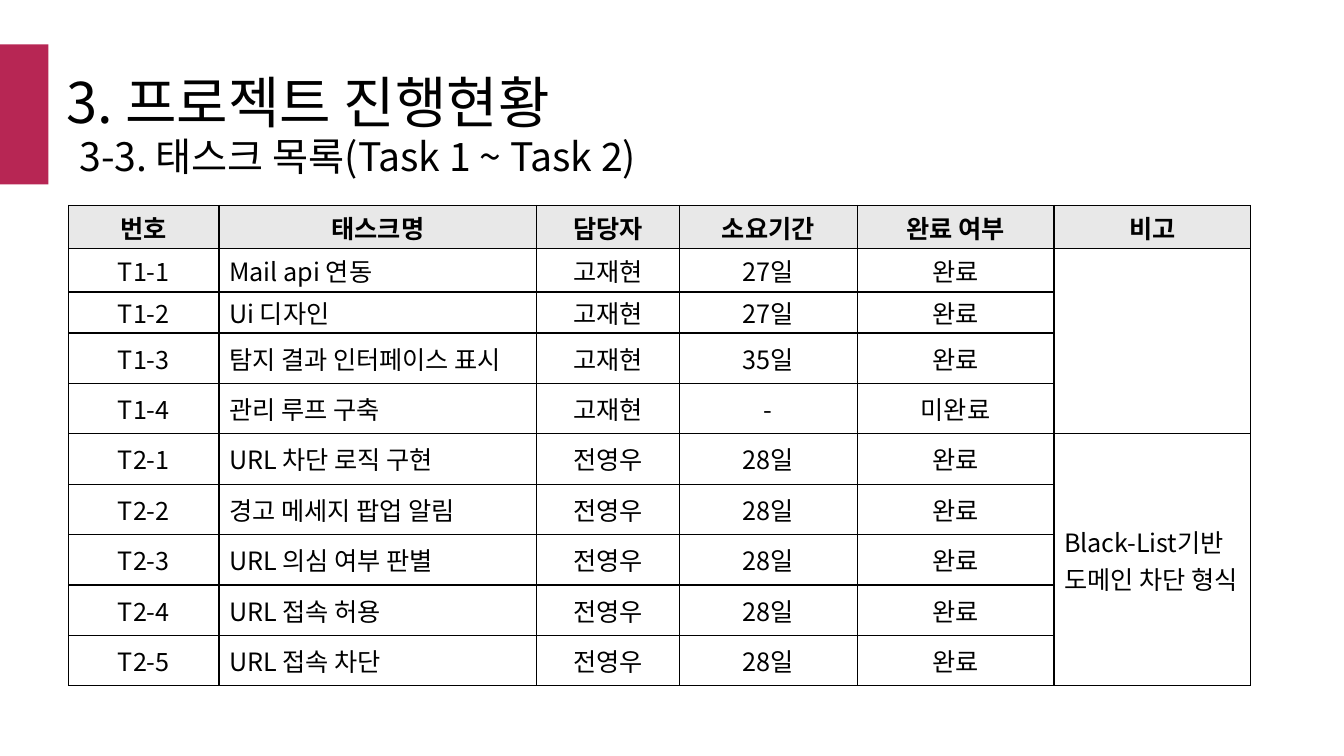
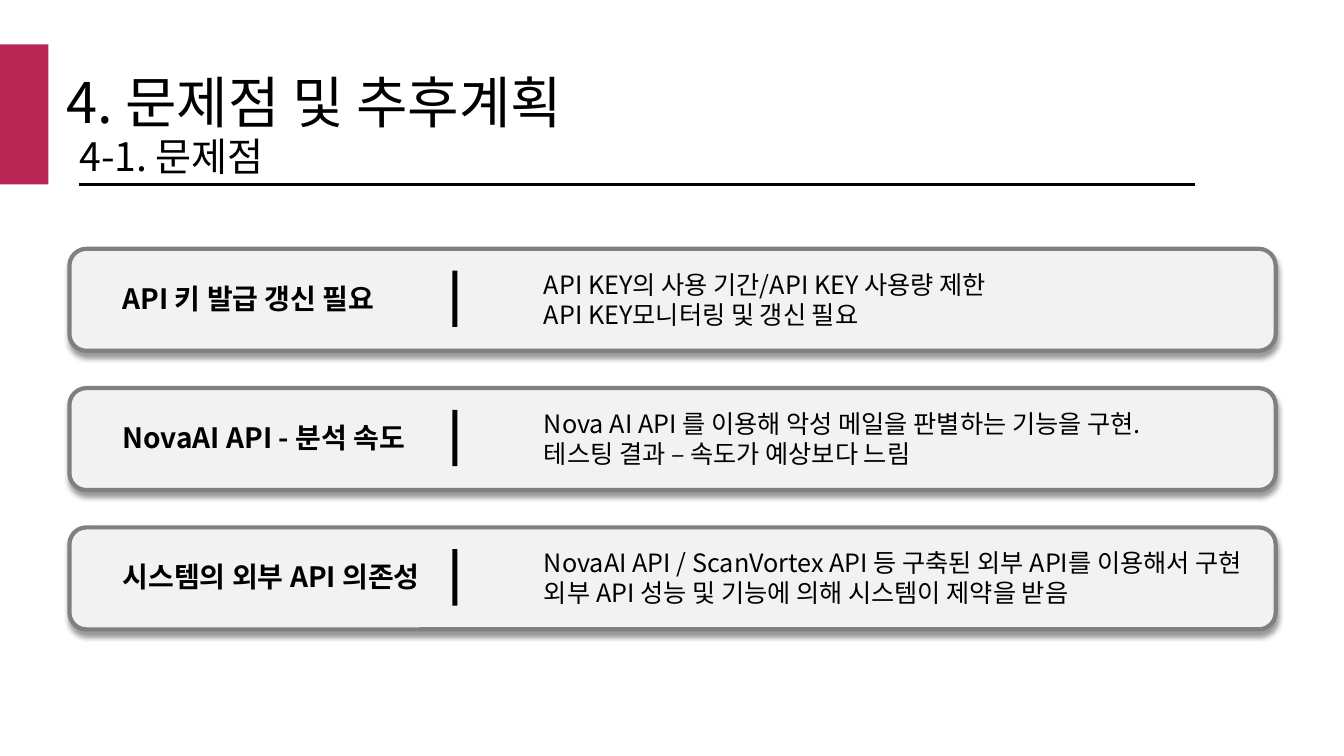
"""Build two project report slides: a task list and a list of problems."""
from lxml.etree import SubElement
from pptx import Presentation
from pptx.dml.color import RGBColor
from pptx.enum.shapes import MSO_CONNECTOR as Connector, MSO_SHAPE as Preset
from pptx.enum.text import MSO_ANCHOR as Anchor, MSO_AUTO_SIZE as AutoSize, PP_ALIGN as Align
from pptx.oxml.ns import qn
from pptx.util import Cm, Pt

FONT = "Noto Sans CJK KR"
COLORS = {
    "accent": "B72654",
    "text": "000000",
    "header": "E8E8E8",
    "body": "FFFFFF",
    "card": "F2F2F2",
    "card_line": "808080",
}

TASK_TITLES = ("3. 프로젝트 진행현황", "3-3. 태스크 목록(Task 1 ~ Task 2)")
TASK_HEADER = ("번호", "태스크명", "담당자", "소요기간", "완료 여부", "비고")
TASK_GROUPS = [
    {
        "owner": "고재현",
        "note": (),
        "tasks": [
            ("T1-1", "Mail api 연동", "27일", "완료"),
            ("T1-2", "Ui 디자인", "27일", "완료"),
            ("T1-3", "탐지 결과 인터페이스 표시", "35일", "완료"),
            ("T1-4", "관리 루프 구축", "-", "미완료"),
        ],
    },
    {
        "owner": "전영우",
        "note": ("Black-List기반", "도메인 차단 형식"),
        "tasks": [
            ("T2-1", "URL 차단 로직 구현", "28일", "완료"),
            ("T2-2", "경고 메세지 팝업 알림", "28일", "완료"),
            ("T2-3", "URL 의심 여부 판별", "28일", "완료"),
            ("T2-4", "URL 접속 허용", "28일", "완료"),
            ("T2-5", "URL 접속 차단", "28일", "완료"),
        ],
    },
]
COLUMN_WIDTHS = (3.79, 8.01, 3.59, 4.48, 4.96, 4.96)
ROW_HEIGHTS = (1.09, 1.09, 1.03) + (1.27,) * 7
NAME_COLUMN, NOTE_COLUMN = 1, 5

PROBLEM_TITLES = ("4. 문제점 및 추후계획", "4-1. 문제점")
PROBLEMS = [
    ("API 키 발급 갱신 필요",
     ("API KEY의 사용 기간/API KEY 사용량 제한", "API KEY모니터링 및 갱신 필요")),
    ("NovaAI API - 분석 속도",
     ("Nova AI API 를 이용해 악성 메일을 판별하는 기능을 구현.", "테스팅 결과 – 속도가 예상보다 느림")),
    ("시스템의 외부 API 의존성",
     ("NovaAI API / ScanVortex API 등 구축된 외부 API를 이용해서 구현",
      "외부 API 성능 및 기능에 의해 시스템이 제약을 받음")),
]
CARD_TOP, CARD_PITCH = 6.27, 3.51


def rgb(name):
    return RGBColor.from_string(COLORS[name])


def write(frame, lines, size, bold=False, align=Align.LEFT, spacing=None):
    for index, line in enumerate(lines):
        paragraph = frame.paragraphs[0] if index == 0 else frame.add_paragraph()
        paragraph.alignment = align
        paragraph.line_spacing = spacing
        run = paragraph.add_run()
        run.text = line
        run.font.size = Pt(size)
        run.font.bold = bold
        run.font.name = FONT
        run.font.color.rgb = rgb("text")
        SubElement(run.font._element, qn("a:ea"), typeface=FONT)


def add_text(slide, left, top, width, height, lines, size, bold=False):
    box = slide.shapes.add_textbox(Cm(left), Cm(top), Cm(width), Cm(height))
    box.text_frame.word_wrap = True
    box.text_frame.auto_size = AutoSize.SHAPE_TO_FIT_TEXT
    write(box.text_frame, lines, size, bold, spacing=1.0)


def add_block(slide, preset, left, top, width, height, fill):
    shape = slide.shapes.add_shape(preset, Cm(left), Cm(top), Cm(width), Cm(height))
    shape.shadow.inherit = False
    shape.fill.solid()
    shape.fill.fore_color.rgb = rgb(fill)
    shape.line.fill.background()
    return shape


def add_base_slide(presentation, titles):
    slide = presentation.slides.add_slide(presentation.slide_layouts[6])
    title, subtitle = titles
    add_block(slide, Preset.RECTANGLE, 0, 1.12, 1.22, 3.53, "accent")
    add_text(slide, 1.42, 1.57, 28.5, 1.97, [title], 40)
    add_text(slide, 1.75, 3.2, 16.2, 1.45, [subtitle], 28)
    return slide


def add_borders(cell):
    properties = cell._tc.get_or_add_tcPr()
    for index, side in enumerate(("lnL", "lnR", "lnT", "lnB")):
        line = properties.makeelement(qn(f"a:{side}"), {"w": str(Pt(1))})
        fill = SubElement(line, qn("a:solidFill"))
        SubElement(fill, qn("a:srgbClr"), val=COLORS["text"])
        properties.insert(index, line)


def add_task_table(slide):
    rows = [TASK_HEADER]
    for group in TASK_GROUPS:
        for number, name, days, state in group["tasks"]:
            rows.append((number, name, group["owner"], days, state, ""))

    table = slide.shapes.add_table(
        len(rows), len(TASK_HEADER), Cm(1.73), Cm(5.18),
        Cm(sum(COLUMN_WIDTHS)), Cm(sum(ROW_HEIGHTS))).table
    table.first_row = table.horz_banding = False
    for column, width in zip(table.columns, COLUMN_WIDTHS):
        column.width = Cm(width)
    for row, height in zip(table.rows, ROW_HEIGHTS):
        row.height = Cm(height)

    for row_index, values in enumerate(rows):
        is_header = row_index == 0
        for column_index, value in enumerate(values):
            cell = table.cell(row_index, column_index)
            cell.vertical_anchor = Anchor.MIDDLE
            cell.margin_top = cell.margin_bottom = Cm(0.05)
            cell.fill.solid()
            cell.fill.fore_color.rgb = rgb("header" if is_header else "body")
            add_borders(cell)
            is_name = column_index == NAME_COLUMN and not is_header
            if value:
                write(cell.text_frame, [value], 18, is_header,
                      Align.LEFT if is_name else Align.CENTER)

    first = 1
    for group in TASK_GROUPS:
        last = first + len(group["tasks"]) - 1
        note_cell = table.cell(first, NOTE_COLUMN)
        note_cell.merge(table.cell(last, NOTE_COLUMN))
        write(note_cell.text_frame, group["note"], 18)
        first = last + 1


def add_card_shadow(card):
    effects = card._element.spPr.find(qn("a:effectLst"))
    shadow = SubElement(effects, qn("a:outerShdw"), blurRad=str(Pt(4)),
                        dist=str(Pt(3)), dir="5400000", algn="t", rotWithShape="0")
    color = SubElement(shadow, qn("a:srgbClr"), val=COLORS["text"])
    SubElement(color, qn("a:alpha"), val="40000")


def add_problem_card(slide, top, label, details):
    card = add_block(slide, Preset.ROUNDED_RECTANGLE, 1.75, top, 30.4, 2.57, "card")
    card.line.color.rgb = rgb("card_line")
    card.line.width = Pt(3)
    add_card_shadow(card)
    add_text(slide, 2.84, top + 0.69, 9, 1.11, [label], 20, True)
    add_block(slide, Preset.RECTANGLE, 11.4, top + 0.55, 0.13, 1.42, "text")
    add_text(slide, 13.46, top + 0.38, 20.2, 1.8, details, 18)


def add_title_rule(slide):
    rule = slide.shapes.add_connector(
        Connector.STRAIGHT, Cm(1.98), Cm(4.65), Cm(30.12), Cm(4.65))
    rule.line.color.rgb = rgb("text")
    rule.line.width = Pt(1.5)
    SubElement(rule._element.spPr, qn("a:effectLst"))


def main():
    presentation = Presentation()
    presentation.slide_width, presentation.slide_height = Cm(33.87), Cm(19.05)

    add_task_table(add_base_slide(presentation, TASK_TITLES))

    problem_slide = add_base_slide(presentation, PROBLEM_TITLES)
    add_title_rule(problem_slide)
    for index, (label, details) in enumerate(PROBLEMS):
        add_problem_card(problem_slide, CARD_TOP + index * CARD_PITCH, label, details)

    presentation.save("out.pptx")


if __name__ == "__main__":
    main()
